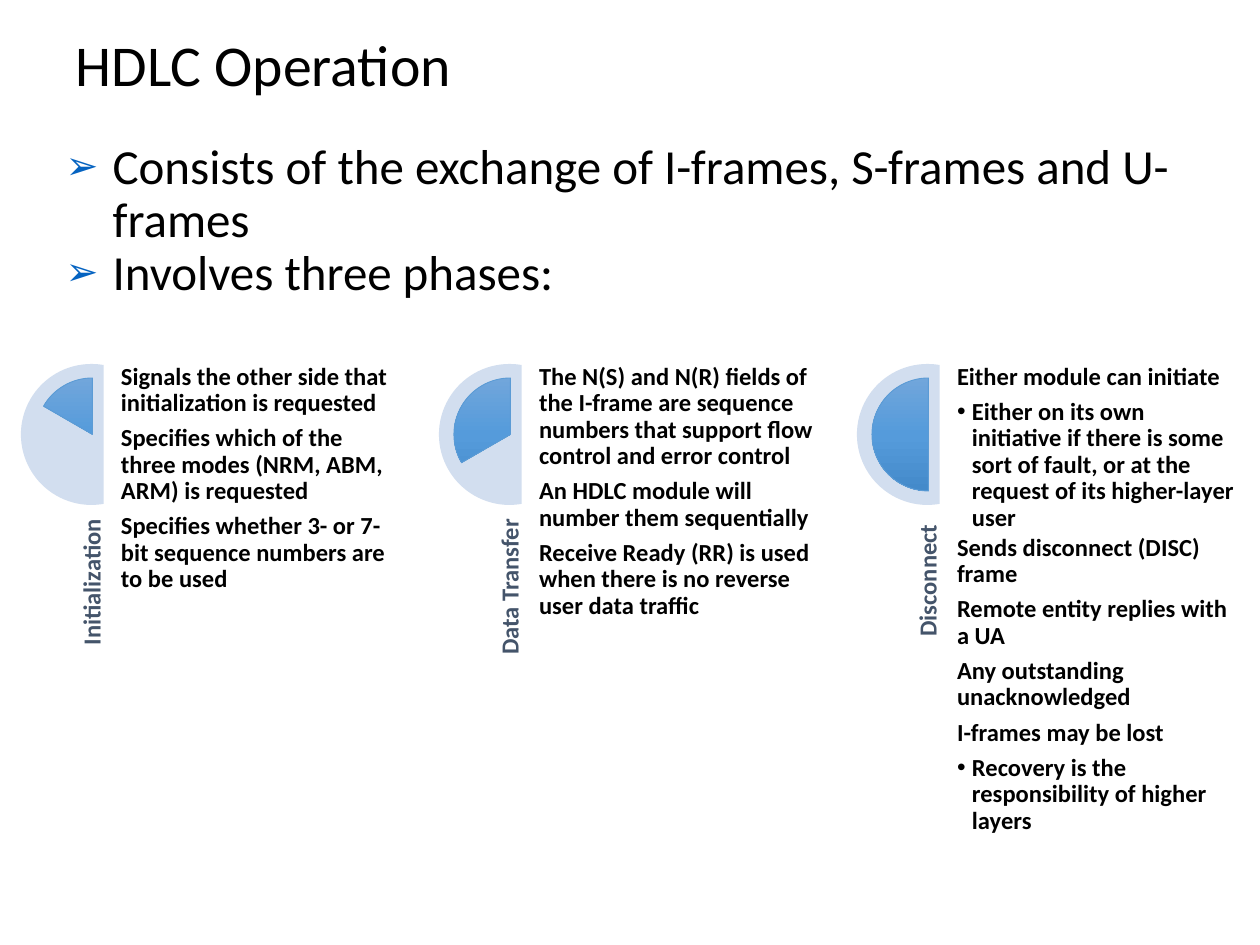
from copy import deepcopy
from typing import NamedTuple

from lxml.etree import SubElement
from pptx import Presentation
from pptx.dml.color import RGBColor
from pptx.enum.shapes import MSO_SHAPE as Kind
from pptx.enum.text import MSO_ANCHOR as Anchor, MSO_AUTO_SIZE as Fit, PP_ALIGN as Align
from pptx.oxml.ns import qn
from pptx.shapes.autoshape import Shape
from pptx.shapes.shapetree import GroupShapes
from pptx.text.text import TextFrame, _Paragraph as Para
from pptx.util import Pt

SCALE = 914400 / 126
FONT = "Calibri"
BLACK = RGBColor(0x00, 0x00, 0x00)
SLATE = RGBColor(0x44, 0x54, 0x6A)
PALE = RGBColor(0xD2, 0xDE, 0xEF)
EDGE = RGBColor(0x5B, 0x9B, 0xD5)
LINK = RGBColor(0x05, 0x63, 0xC1)
SHADES = (
    RGBColor(0x71, 0xA6, 0xDB),
    RGBColor(0x55, 0x9B, 0xDB),
    RGBColor(0x44, 0x8A, 0xCA),
)
LEFT, TOP, PITCH = 21, 364, 418


class Item(NamedTuple):
    text: str
    level: int = 0


class Phase(NamedTuple):
    name: str
    start: int
    items: tuple[Item, ...]


GOALS = (
    "Consists of the exchange of I-frames, S-frames and U-frames",
    "Involves three phases:",
)
PHASES = (
    Phase("Initialization", 126, (
        Item("Signals the other side that initialization is requested"),
        Item("Specifies which of the three modes (NRM, ABM, ARM) is requested"),
        Item("Specifies whether 3- or 7-bit sequence numbers are to be used"),
    )),
    Phase("Data Transfer", 90, (
        Item("The N(S) and N(R) fields of the I-frame are sequence numbers "
             "that support flow control and error control"),
        Item("An HDLC module will number them sequentially"),
        Item("Receive Ready (RR) is used when there is no reverse user data traffic"),
    )),
    Phase("Disconnect ", 54, (
        Item("Either module can initiate"),
        Item("Either on its own initiative if there is some sort of fault, "
             "or at the request of its higher-layer user", 1),
        Item("Sends disconnect (DISC) frame"),
        Item("Remote entity replies with a UA"),
        Item("Any outstanding unacknowledged"),
        Item("I-frames may be lost"),
        Item("Recovery is the responsibility of higher layers", 1),
    )),
)


def px(num: int) -> int:
    return round(num * SCALE)


def place(shape: Shape, x: int, y: int, w: int, h: int) -> None:
    shape.left, shape.top, shape.width, shape.height = map(px, (x, y, w, h))


def style(para: Para, size: int, color: RGBColor, bold: bool = False,
          after: float = 0) -> None:
    para.line_spacing = 0.9
    para.space_before = Pt(0)
    para.space_after = Pt(after)
    for run in para.runs:
        font = run.font
        font.name, font.size, font.bold = FONT, Pt(size), bold
        font.color.rgb = color


def bullet(para: Para, char: str, indent: int, color: RGBColor | None = None,
           size: int = 100) -> None:
    props = para._p.get_or_add_pPr()
    props.set("marL", str(px(indent)))
    props.set("indent", str(-px(indent)))
    if color is not None:
        tint = SubElement(props, qn("a:buClr"))
        SubElement(tint, qn("a:srgbClr"), val=str(color))
    SubElement(props, qn("a:buSzPct"), val=str(size * 1000))
    SubElement(props, qn("a:buFont"), typeface="Arial")
    SubElement(props, qn("a:buChar"), char=char)


def add_arc(tree: GroupShapes, kind: Kind, x: int, y: int, size: int,
            start: int, end: int) -> Shape:
    arc = tree.add_shape(kind, px(x), px(y), px(size), px(size))
    arc.adjustments[0], arc.adjustments[1] = start, end
    arc.shadow.inherit = False
    return arc


def shade(shape: Shape) -> None:
    fill = shape.fill
    fill.gradient()
    fill.gradient_angle = 270
    first = fill._fill._gradFill.find(qn("a:gsLst"))[0]
    first.addnext(deepcopy(first))
    for num, (stop, color) in enumerate(zip(fill.gradient_stops, SHADES)):
        stop.position = num / 2
        stop.color.rgb = color
    shape.line.color.rgb = EDGE
    shape.line.width = Pt(0.5)


def add_text(tree: GroupShapes, x: int, y: int, w: int, h: int,
             turn: int = 0) -> TextFrame:
    box = tree.add_textbox(px(x), px(y), px(w), px(h))
    box.rotation = turn
    frame = box.text_frame
    frame.word_wrap = True
    frame.margin_left = frame.margin_right = 0
    frame.margin_top = frame.margin_bottom = 0
    return frame


def add_phase(tree: GroupShapes, phase: Phase, x: int) -> None:
    disc = add_arc(tree, Kind.CHORD, x, TOP, 141, 48, 168)
    disc.fill.solid()
    disc.fill.fore_color.rgb = PALE
    disc.line.fill.background()
    shade(add_arc(tree, Kind.PIE, x + 15, TOP + 14, 113, phase.start, 162))

    label = add_text(tree, x - 162, TOP + 318, 410, 84, 270)
    label.vertical_anchor = Anchor.BOTTOM
    label.text = phase.name
    label.paragraphs[0].alignment = Align.RIGHT
    style(label.paragraphs[0], 14, SLATE, True)

    notes = add_text(tree, x + 100, TOP, 282, 564)
    notes.text = "\n".join(item.text for item in phase.items)
    for para, item in zip(notes.paragraphs, phase.items):
        para.level = item.level
        style(para, 14, BLACK, True, 2.1 if item.level else 4.9)
        if item.level:
            bullet(para, "•", 15)


def main() -> None:
    deck = Presentation()
    deck.slide_width, deck.slide_height = px(1260), px(945)
    slide = deck.slides.add_slide(deck.slide_layouts[1])

    title, body = slide.placeholders
    place(title, 63, 0, 1134, 136)
    title.text_frame.text = "HDLC Operation"
    title.text_frame.vertical_anchor = Anchor.MIDDLE
    title.text_frame.paragraphs[0].alignment = Align.LEFT
    style(title.text_frame.paragraphs[0], 33, BLACK)

    place(body, 53, 136, 1207, 229)
    body.text_frame.text = "\n".join(GOALS)
    for para in body.text_frame.paragraphs:
        style(para, 28, BLACK)
        bullet(para, "➢", 47, LINK, 80)
    for shape in (title, body):
        shape.text_frame.auto_size = Fit.NONE

    tree = slide.shapes.add_group_shape().shapes
    for num, phase in enumerate(PHASES):
        add_phase(tree, phase, LEFT + num * PITCH)
    deck.save("out.pptx")


if __name__ == "__main__":
    main()
